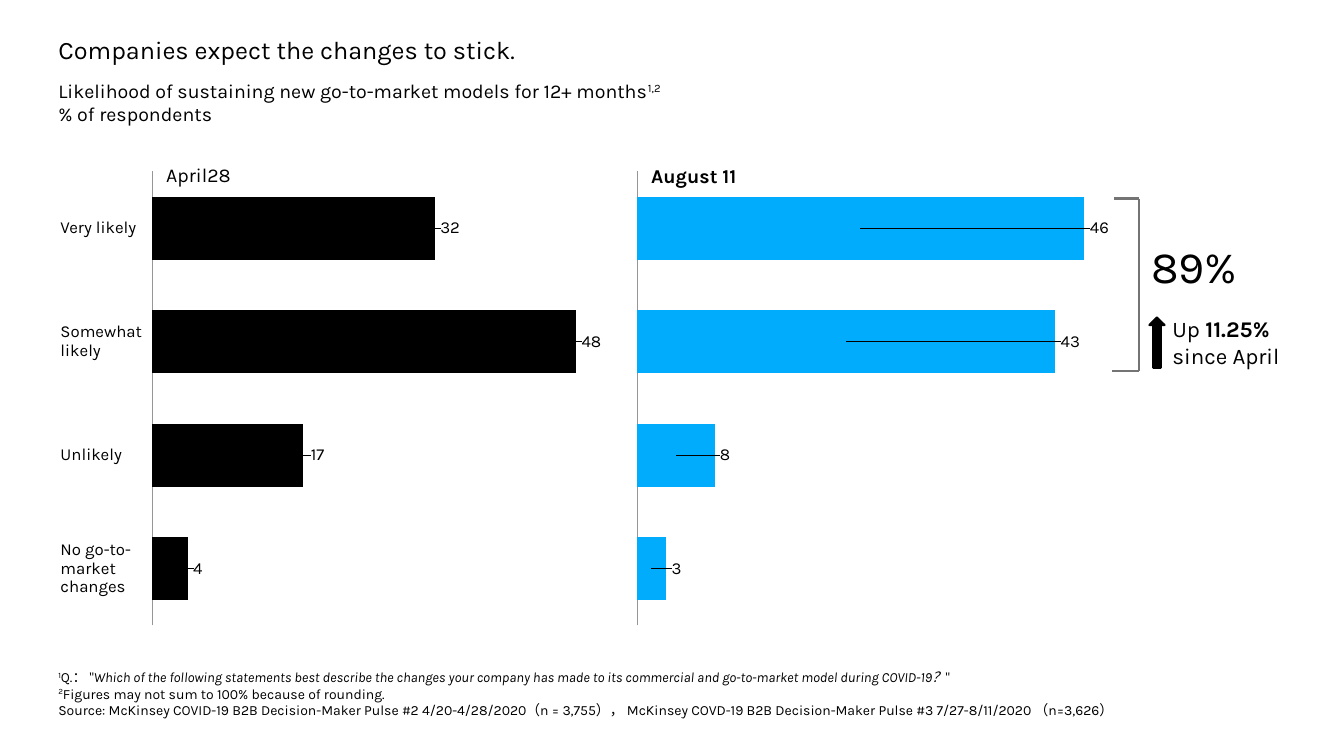
from dataclasses import dataclass

from lxml import etree
from pptx import Presentation
from pptx import util as u
from pptx.chart.data import CategoryChartData
from pptx.dml.color import RGBColor
from pptx.enum import chart as charts, shapes, text
from pptx.oxml import parse_xml
from pptx.oxml.ns import nsdecls, qn


@dataclass(frozen=True)
class Theme:
    font: str = "Karla"
    ink: RGBColor = RGBColor(0, 0, 0)
    accent: RGBColor = RGBColor(0x00, 0xAC, 0xFB)
    axis: RGBColor = RGBColor(0x96, 0x96, 0x96)
    bracket: RGBColor = RGBColor(0x74, 0x74, 0x74)
    title: int = 18
    heading: int = 14
    label: int = 12
    note: int = 10
    figure: int = 32
    callout: int = 16


THEME = Theme()
CHART_TOP, CHART_HEIGHT = 1.41, 5.09
PLOT_TOP, PLOT_HEIGHT = 0.057, 0.885
CATEGORIES = ["Very likely", "Somewhat\nlikely", "Unlikely",
              "No go-to-\nmarket\nchanges"]
LABEL_WIDTH, LABEL_LINE = 0.85, 0.18


def style_font(font, size, color=THEME.ink):
    font.name = THEME.font
    font.size = u.Pt(size)
    font.color.rgb = color


def add_span(para, content, style=""):
    """Add a run; style is "bold", "italic", "super" or empty."""
    for index, line in enumerate(content.split("\n")):
        if index:
            para.add_line_break()
        span = para.add_run()
        span.text = line
        if style == "super":
            span._r.get_or_add_rPr().set("baseline", "30000")
        elif style:
            setattr(span.font, style, True)


def fill_text(frame, paragraphs, size, wrap=False):
    """Write paragraphs, each a list of (text, style) runs."""
    frame.word_wrap = wrap
    for index, runs in enumerate(paragraphs):
        para = frame.add_paragraph() if index else frame.paragraphs[0]
        para.alignment = text.PP_ALIGN.LEFT
        style_font(para.font, size)
        for run in runs:
            add_span(para, *run)


def add_text(slide, area, paragraphs, size, wrap=False):
    box = slide.shapes.add_textbox(*map(u.Inches, area))
    fill_text(box.text_frame, paragraphs, size, wrap)
    return box.text_frame


def set_title(slide, area, content):
    title = slide.shapes.title
    title.left, title.top, title.width, title.height = map(u.Inches, area)
    frame = title.text_frame
    fill_text(frame, [[(content,)]], THEME.title)
    frame.auto_size = text.MSO_AUTO_SIZE.NONE
    frame.vertical_anchor = text.MSO_ANCHOR.TOP


def manual_layout(**settings):
    layout = parse_xml(f"<c:layout {nsdecls('c')}><c:manualLayout/></c:layout>")
    for name, value in settings.items():
        etree.SubElement(layout[0], qn(f"c:{name}")).set("val", str(value))
    return layout


def add_bar_chart(slide, left, width, plot_left, plot_width, values, color):
    data = CategoryChartData()
    data.categories = ["1", "2", "3", "4"]
    data.add_series("Series 1", values)
    area = map(u.Inches, (left, CHART_TOP, width, CHART_HEIGHT))
    chart = slide.shapes.add_chart(
        charts.XL_CHART_TYPE.BAR_STACKED, *area, data).chart
    chart.has_legend = chart.has_title = False
    style_font(chart.font, THEME.label)

    category_axis = chart.category_axis
    category_axis.reverse_order = True
    category_axis.tick_label_position = charts.XL_TICK_LABEL_POSITION.NONE
    category_axis.major_tick_mark = charts.XL_TICK_MARK.NONE
    category_axis.format.line.color.rgb = THEME.axis
    category_axis.format.line.width = u.Pt(0.75)
    value_axis = chart.value_axis
    value_axis.minimum_scale, value_axis.maximum_scale = 0, max(values)
    value_axis.has_major_gridlines = False
    value_axis.visible = False

    plot = chart.plots[0]
    plot_area = plot._element.getparent()
    for layout in plot_area.findall(qn("c:layout")):
        plot_area.remove(layout)
    plot_area.insert(0, manual_layout(
        layoutTarget="inner", xMode="edge", yMode="edge", x=plot_left,
        y=PLOT_TOP, w=plot_width, h=PLOT_HEIGHT))

    plot.gap_width, plot.overlap = 80, 100
    plot.vary_by_categories = False
    series = plot.series[0]
    series.format.fill.solid()
    series.format.fill.fore_color.rgb = color
    for index, value in enumerate(values):
        place_label(series.points[index].data_label, value,
                    value / max(values) * plot_width / 2, width)


def place_label(label, value, half_bar, chart_width):
    """Move a centred value label to just past the end of its bar."""
    style_font(label.font, THEME.label)
    label.position = charts.XL_LABEL_POSITION.CENTER
    gap = (0.05 + 0.05 * len(str(value))) / chart_width
    label._get_or_add_dLbl().insert(
        1, manual_layout(x=round(half_bar + gap, 4), y=0))


def add_category_labels(slide):
    step = CHART_HEIGHT * PLOT_HEIGHT / len(CATEGORIES)
    first = CHART_TOP + CHART_HEIGHT * PLOT_TOP + step / 2
    for index, name in enumerate(CATEGORIES):
        height = LABEL_LINE * len(name.split("\n"))
        top = first + index * step - height / 2
        frame = add_text(slide, (0.6, top, LABEL_WIDTH, height), [[(name,)]],
                         THEME.label, wrap=True)
        frame.margin_left = frame.margin_right = 0
        frame.margin_top = frame.margin_bottom = 0
        frame.vertical_anchor = text.MSO_ANCHOR.MIDDLE
        frame.paragraphs[0].line_spacing = 0.9


def add_bracket(slide):
    right, top, bottom = 11.3, 1.97, 3.68
    group = slide.shapes.add_group_shape()
    for ends in ((11.05, top, right, top), (11.03, bottom, right, bottom),
                 (right, bottom, right, top)):
        line = group.shapes.add_connector(
            shapes.MSO_CONNECTOR.STRAIGHT, *map(u.Inches, ends))
        line.line.color.rgb = THEME.bracket
        line.line.width = u.Pt(1.5)
        etree.SubElement(line._element.spPr, qn("a:effectLst"))


def add_up_arrow(slide):
    arrow = slide.shapes.add_shape(
        shapes.MSO_SHAPE.UP_ARROW, *map(u.Inches, (11.4, 3.15, 0.15, 0.5)))
    arrow.shadow.inherit = False
    arrow.fill.solid()
    arrow.fill.fore_color.rgb = THEME.ink
    arrow.line.color.rgb = THEME.ink
    arrow.line.width = u.Pt(1.5)


def main():
    deck = Presentation()
    deck.slide_width, deck.slide_height = u.Inches(13.33), u.Inches(7.5)
    slide = deck.slides.add_slide(deck.slide_layouts[5])

    set_title(slide, (0.48, 0.29, 4.82, 0.4),
              "Companies expect the changes to stick.")
    add_text(slide, (0.48, 0.73, 6.45, 0.57), [
        [("Likelihood of sustaining new go-to-market models for 12+ months",),
         ("1,2", "super")],
        [("% of respondents",)]], THEME.heading)
    add_text(slide, (0.48, 6.58, 10.83, 0.61), [
        [("1", "super"), ("Q.： \"",),
         ("Which of the following statements best describe the changes your "
          "company has made to its commercial and go-to-market model during "
          "COVID-19？", "italic"), ("\"",)],
        [("2", "super"),
         ("Figures may not sum to 100% because of rounding.",)],
        [("Source: McKinsey COVID-19 B2B Decision-Maker Pulse #2 "
          "4/20-4/28/2020（n = 3,755）， McKinsey COVD-19 B2B "
          "Decision-Maker Pulse #3 7/27-8/11/2020 （n=3,626）",)]],
        THEME.note, wrap=True)

    add_bar_chart(slide, 1.42, 4.59, 0.02, 0.916, [32, 48, 17, 4], THEME.ink)
    add_bar_chart(slide, 6.23, 4.82, 0.019, 0.92, [46, 43, 8, 3], THEME.accent)
    add_category_labels(slide)
    add_text(slide, (1.55, 1.57, 0.84, 0.34), [[("April28",)]], THEME.heading)
    add_text(slide, (6.36, 1.58, 1.17, 0.34), [[("August 11", "bold")]],
             THEME.heading)

    add_bracket(slide)
    add_text(slide, (11.32, 2.32, 1.08, 0.64), [[("89%",)]], THEME.figure)
    add_up_arrow(slide)
    add_text(slide, (11.53, 3.08, 1.36, 0.64),
             [[("Up ",), ("11.25%", "bold")], [("since April",)]],
             THEME.callout)
    deck.save("out.pptx")


if __name__ == "__main__":
    main()
